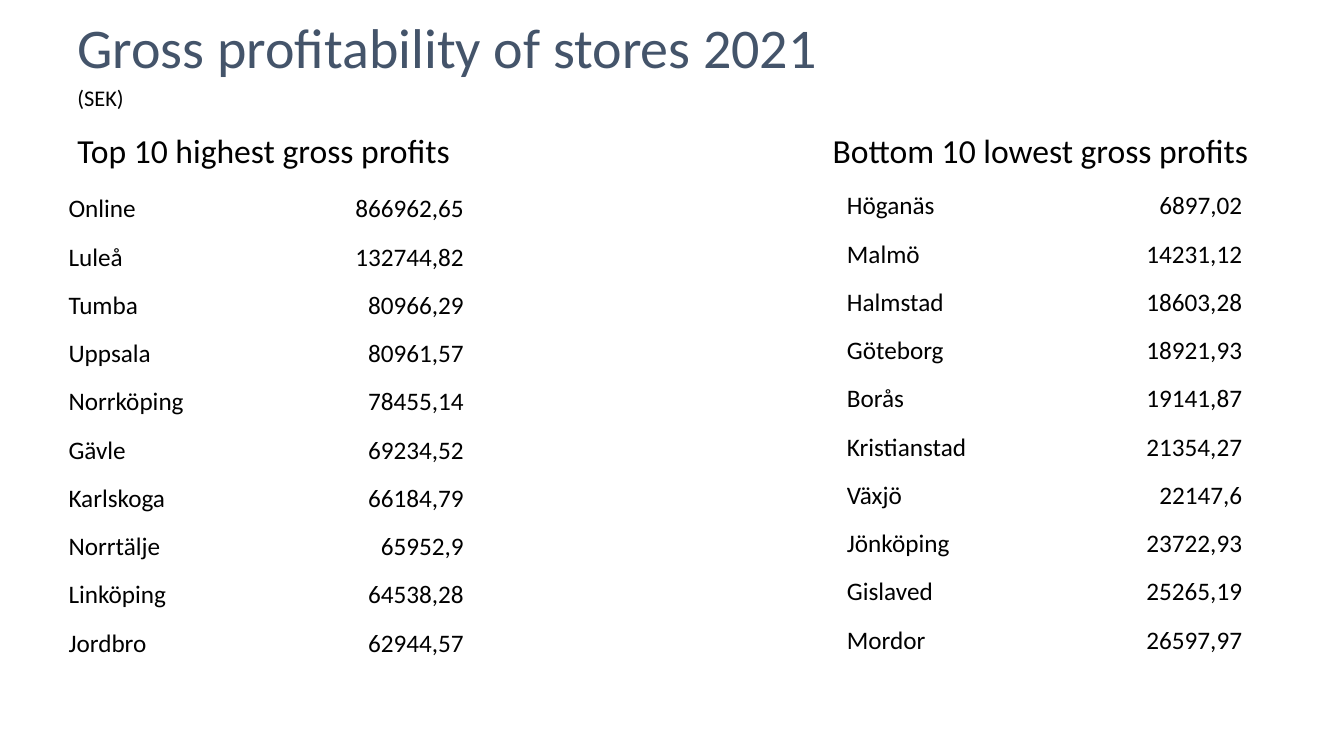
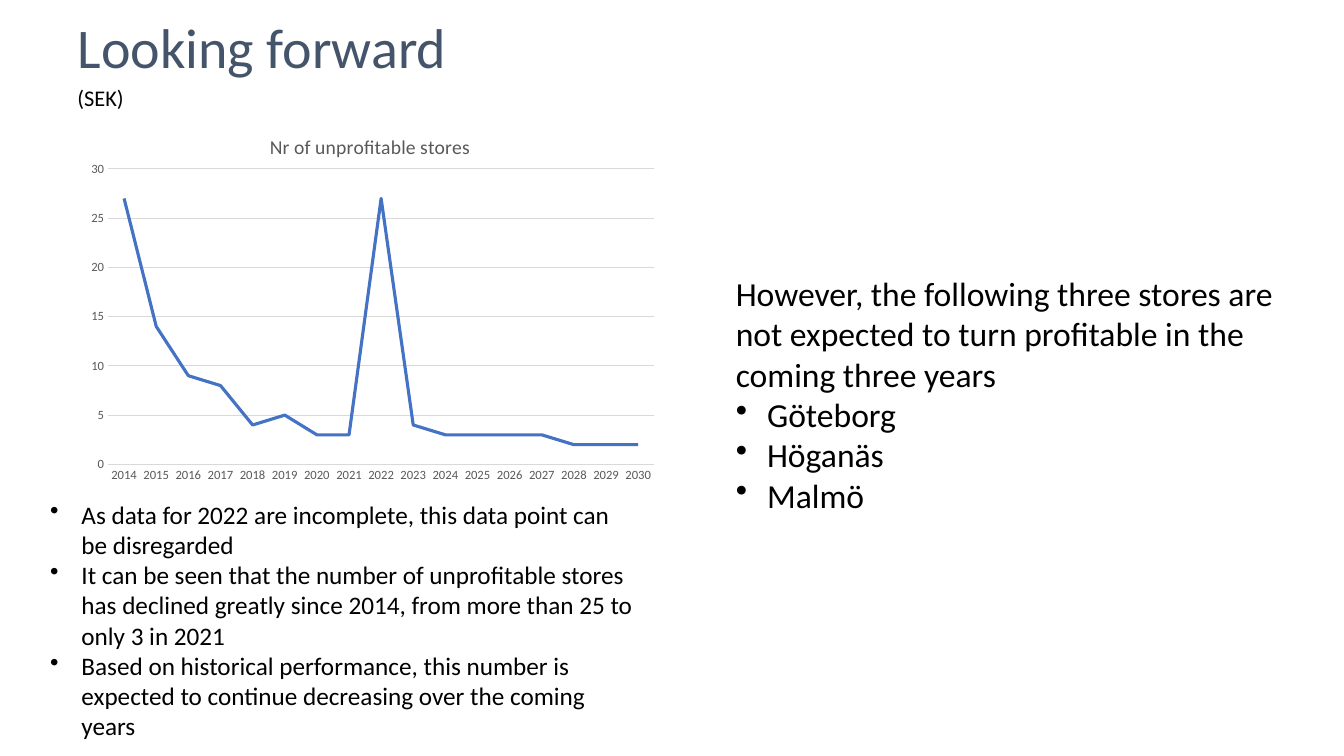
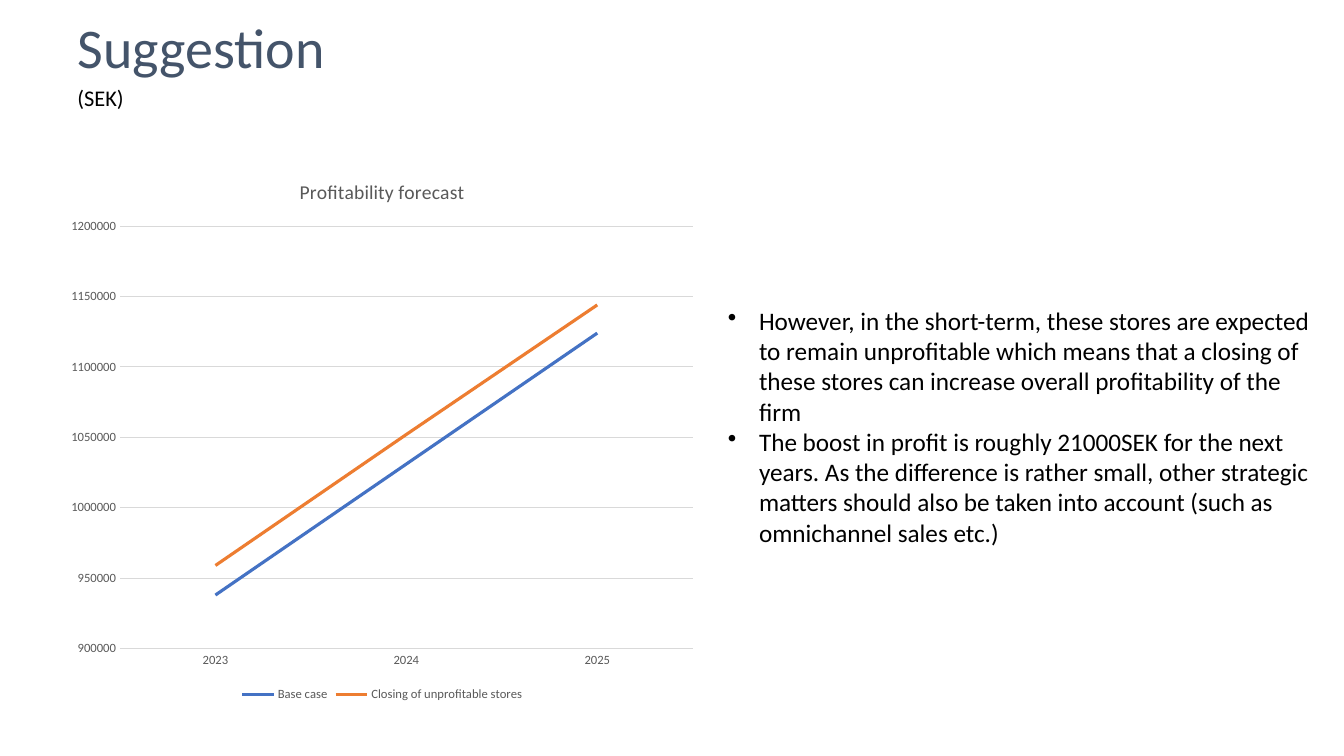
from lxml import etree
from pptx import Presentation
from pptx.chart.data import CategoryChartData
from pptx.dml.color import RGBColor
from pptx.enum.chart import XL_CHART_TYPE as CT, XL_LEGEND_POSITION as LP, XL_TICK_MARK as TM
from pptx.enum.text import MSO_ANCHOR, PP_ALIGN
from pptx.oxml import parse_xml
from pptx.oxml.ns import nsdecls, qn
from pptx.util import Inches, Pt

FONT = "Calibri"
C = {"title": "44546A", "text": "000000", "axis": "595959", "grid": "D9D9D9",
     "blue": "4472C4", "orange": "ED7D31"}

prs = Presentation()
prs.slide_width, prs.slide_height = Inches(13.33), Inches(7.5)


def style(font, size, color):
    font.name, font.size, font.bold = FONT, Pt(size), False
    font.color.rgb = RGBColor.from_string(C[color])


def add_text(s, box, size, lines, color="text", bullets_from=None):
    """Write one paragraph per line; lines from bullets_from on are bulleted."""
    tf = s.shapes.add_textbox(*map(Inches, box)).text_frame
    tf.word_wrap = True
    for i, line in enumerate(lines):
        p = tf.paragraphs[0] if i == 0 else tf.add_paragraph()
        p.text = line
        style(p.font, size, color)
        if bullets_from is not None and i >= bullets_from:
            pPr = p._p.get_or_add_pPr()
            pPr.set("marL", str(Inches(0.31)))
            pPr.set("indent", str(-Inches(0.31)))
            bullet = etree.Element(qn("a:buChar"), char="•")
            pPr.insert_element_before(bullet, "a:tabLst", "a:defRPr", "a:extLst")
    return tf


# Slides with the shared title and unit line
slides = []
for title in ["Gross profitability of stores 2021", "Looking forward", "Suggestion"]:
    s = prs.slides.add_slide(prs.slide_layouts[6])
    tf = add_text(s, (0.67, 0.15, 8.12, 0.65), 40, [title], "title")
    tf.paragraphs[0].line_spacing = 0.9
    add_text(s, (0.67, 0.79, 4.38, 0.37), 16, ["(SEK)"])
    slides.append(s)
profit_slide, outlook_slide, suggestion_slide = slides

# Slide 1: best and worst stores
top_stores = [
    ("Online", "866962,65"), ("Luleå", "132744,82"), ("Tumba", "80966,29"),
    ("Uppsala", "80961,57"), ("Norrköping", "78455,14"), ("Gävle", "69234,52"),
    ("Karlskoga", "66184,79"), ("Norrtälje", "65952,9"), ("Linköping", "64538,28"),
    ("Jordbro", "62944,57")]
bottom_stores = [
    ("Höganäs", "6897,02"), ("Malmö", "14231,12"), ("Halmstad", "18603,28"),
    ("Göteborg", "18921,93"), ("Borås", "19141,87"), ("Kristianstad", "21354,27"),
    ("Växjö", "22147,6"), ("Jönköping", "23722,93"), ("Gislaved", "25265,19"),
    ("Mordor", "26597,97")]
rankings = [
    ("Top 10 highest gross profits", (0.67, 1.24, 3.94, 0.5), top_stores, 0.67, 1.86, 0.11),
    ("Bottom 10 lowest gross profits", (8.16, 1.24, 4.38, 0.5), bottom_stores, 8.39, 1.72, 0)]

for heading, box, stores, left, top, bottom_margin in rankings:
    add_text(profit_slide, box, 24, [heading])
    table = profit_slide.shapes.add_table(
        len(stores), 2, Inches(left), Inches(top), Inches(3.94), Inches(4.79)).table
    table.first_row = table.horz_banding = False
    table.columns[0].width, table.columns[1].width = Inches(2.17), Inches(1.77)
    for r, store in enumerate(stores):
        for c, text in enumerate(store):
            cell = table.cell(r, c)
            cell.fill.background()
            cell.vertical_anchor = MSO_ANCHOR.BOTTOM
            cell.margin_left = cell.margin_top = cell.margin_right = Inches(0.01)
            cell.margin_bottom = Inches(bottom_margin)
            p = cell.text_frame.paragraphs[0]
            p.text = text
            p.alignment = PP_ALIGN.RIGHT if c else PP_ALIGN.LEFT
            style(p.font, 18, "text")

# Slides 2 and 3: line charts (plot is x, y, w, h as shares of the chart)
charts = [
    dict(s=outlook_slide, box=(0.67, 1.16, 6, 3.74), title="Nr of unprofitable stores",
         years=range(2014, 2031), scale=(0, 30, 5), plot=(0.067, 0.138, 0.903, 0.784),
         series=[("Nr of unprofitable stores", "blue",
                  [27, 14, 9, 8, 4, 5, 3, 3, 27, 4, 3, 3, 3, 3, 2, 2, 2])]),
    dict(s=suggestion_slide, box=(0.58, 1.57, 6.42, 5.43), title="Profitability forecast",
         years=range(2023, 2026), scale=(900000, 1200000, 50000),
         plot=(0.095, 0.124, 0.885, 0.772),
         series=[("Base case", "blue", [938000, 1031000, 1124000]),
                 ("Closing of unprofitable stores", "orange", [959000, 1052000, 1144000])])]

for spec_ in charts:
    data = CategoryChartData()
    data.categories = [str(year) for year in spec_["years"]]
    for name, _, values in spec_["series"]:
        data.add_series(name, values)
    chart = spec_["s"].shapes.add_chart(CT.LINE, *map(Inches, spec_["box"]), data).chart
    style(chart.font, 10, "text")
    chart.plots[0].vary_by_categories = False
    p = chart.chart_title.text_frame.paragraphs[0]
    p.text = spec_["title"]
    style(p.font, 14, "axis")
    chart.chart_title.include_in_layout = False

    for line, (_, color, _) in zip(chart.plots[0].series, spec_["series"]):
        line.smooth = False
        line.format.line.width = Pt(2.25)
        line.format.line.color.rgb = RGBColor.from_string(C[color])

    years, values = chart.category_axis, chart.value_axis
    for axis in (years, values):
        axis.major_tick_mark = axis.minor_tick_mark = TM.NONE
        style(axis.tick_labels.font, 9, "axis")
    values.minimum_scale, values.maximum_scale, values.major_unit = spec_["scale"]
    values.format.line.fill.background()
    for rule in (years.format.line, values.major_gridlines.format.line):
        rule.width = Pt(0.75)
        rule.color.rgb = RGBColor.from_string(C["grid"])

    chart.has_legend = len(spec_["series"]) > 1
    if chart.has_legend:
        chart.legend.position = LP.BOTTOM
        chart.legend.include_in_layout = False
        style(chart.legend.font, 9, "axis")

    # Inner plot area
    area = chart._chartSpace.chart.plotArea
    for old in area.findall(qn("c:layout")):
        area.remove(old)
    sizes = "".join(f'<c:{k} val="{v}"/>' for k, v in zip("xywh", spec_["plot"]))
    area.insert(0, parse_xml(
        f'<c:layout {nsdecls("c")}><c:manualLayout><c:layoutTarget val="inner"/>'
        f'<c:xMode val="edge"/><c:yMode val="edge"/>{sizes}</c:manualLayout></c:layout>'))

# Slide 2: comments
add_text(outlook_slide, (0.4, 4.9, 6, 3.13), 18, [
    "As data for 2022 are incomplete, this data point can be disregarded",
    "It can be seen that the number of unprofitable stores has declined greatly "
    "since 2014, from more than 25 to only 3 in 2021",
    "Based on historical performance, this number is expected to continue "
    "decreasing over the coming years"], bullets_from=0)
add_text(outlook_slide, (7.2, 2.66, 5.73, 3.33), 24, [
    "However, the following three stores are not expected to turn profitable "
    "in the coming three years",
    "Göteborg", "Höganäs", "Malmö"], bullets_from=1)

# Slide 3: comments
add_text(suggestion_slide, (7.12, 2.98, 6, 3.13), 18, [
    "However, in the short-term, these stores are expected to remain unprofitable "
    "which means that a closing of these stores can increase overall profitability "
    "of the firm",
    "The boost in profit is roughly 21000SEK for the next years. As the difference "
    "is rather small, other strategic matters should also be taken into account "
    "(such as omnichannel sales etc.)"], bullets_from=0)

prs.save("out.pptx")
